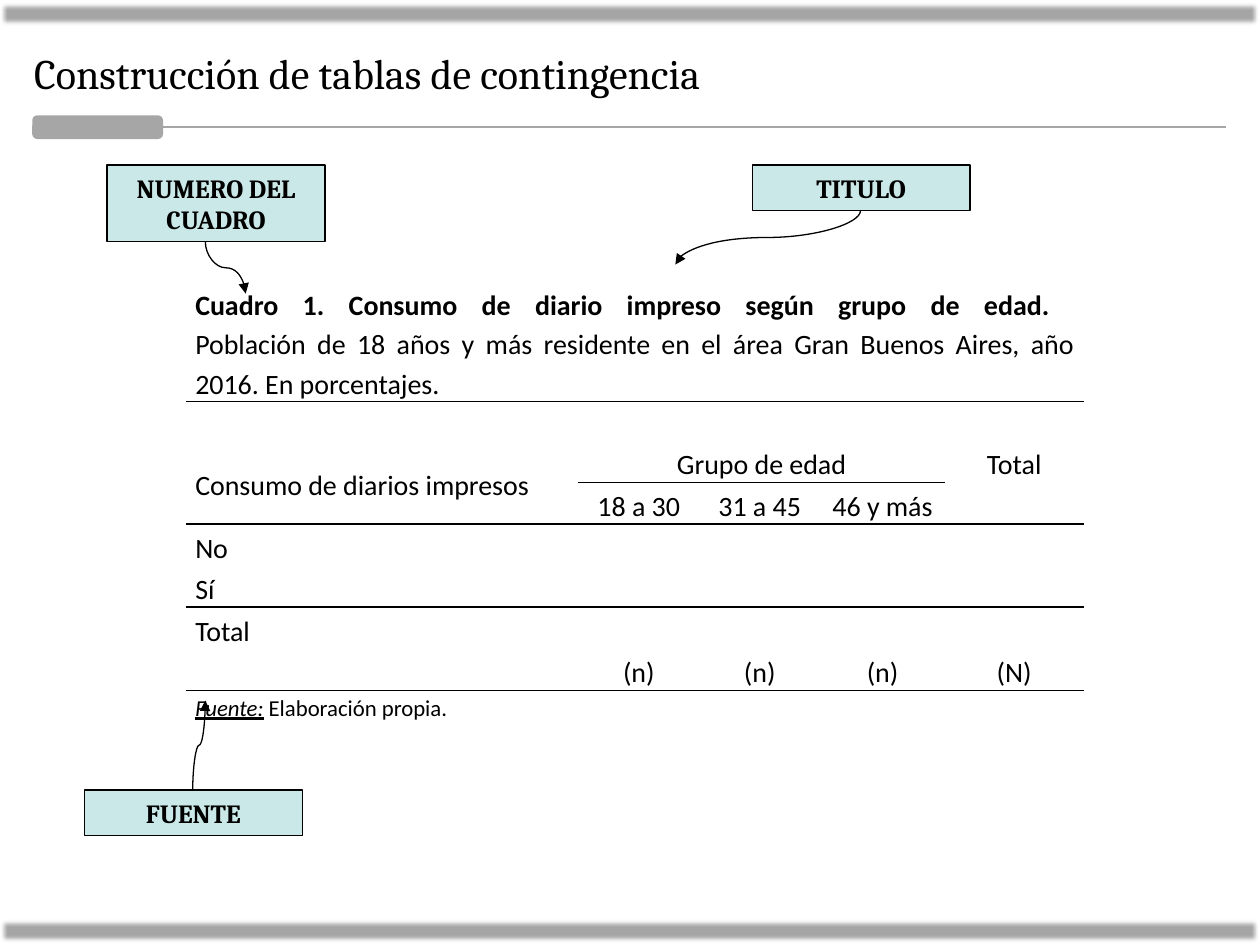
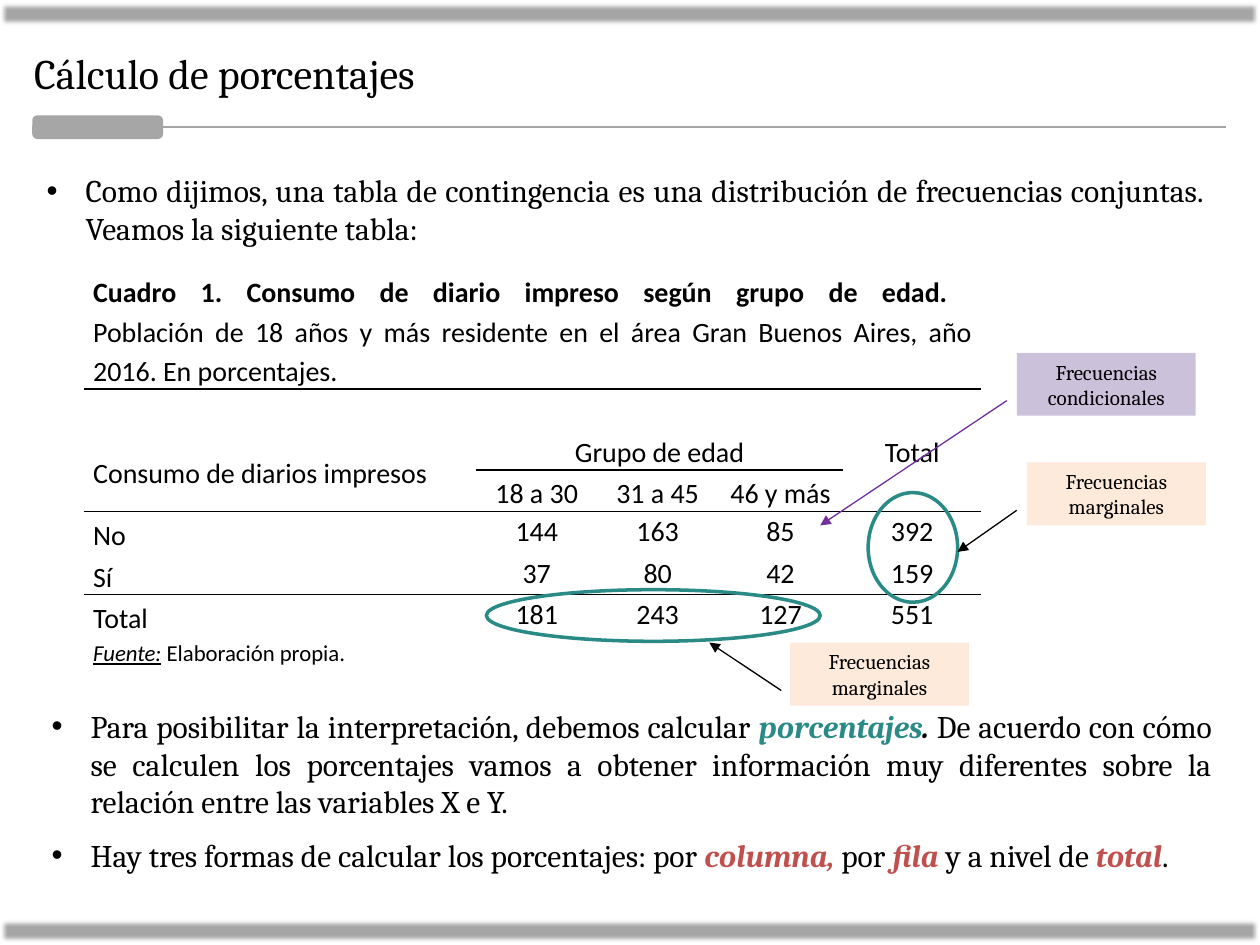
from collections import namedtuple

from lxml.etree import SubElement
from pptx import Presentation
from pptx.dml.color import RGBColor
from pptx.enum.shapes import MSO_CONNECTOR as Link, MSO_SHAPE as Shape
from pptx.enum.text import MSO_ANCHOR as Anchor, MSO_AUTO_SIZE as AutoSize, PP_ALIGN as Align
from pptx.oxml.ns import qn
from pptx.util import Inches, Pt

COLORS = {
    "ink": "000000", "band": "A6A6A6", "callout": "CAE8E7", "teal": "2A8A85",
    "red": "C0504D", "marginal": "FDEADA", "conditional": "CCC1DA", "purple": "7030A0",
}
HEAD, BODY = "Cambria", "Calibri"
COLS, ROWS = 100, 75
WIDTH, HEIGHT = Inches(10), Inches(7.5)
PLAIN_TABLE = "{2D5ABB26-0587-4C30-8999-92F81FD0307C}"

TABLE_COLS = [31.1, 9.6, 9.6, 9.9, 11]
CAPTION = [
    ("Cuadro 1. Consumo de diario impreso según grupo de edad. ", {"bold": True}),
    "\n",
    "Población de 18 años y más residente en el área Gran Buenos Aires, año 2016. En porcentajes.",
]
SOURCE = [
    ("Fuente:", {"size": Pt(13), "italic": True, "underline": True}),
    (" Elaboración propia.", {"size": Pt(13)}),
]
HEADER_ROWS = [
    [CAPTION],
    [],
    ["Consumo de diarios impresos", "Grupo de edad", "", "", "Total"],
    ["", "18 a 30", "31 a 45", "46 y más"],
]
MERGES = [(0, 0, 0, 4), (2, 0, 3, 0), (2, 1, 2, 3), (2, 4, 3, 4)]

Box = namedtuple("Box", "x y w h")


def x_at(col):
    return round(WIDTH * col / COLS)


def y_at(row):
    return round(HEIGHT * row / ROWS)


def inside(box, x, y, w=0, h=0):
    return Box(box.x + x, box.y + y, w, h)


def emu(box):
    return x_at(box.x), y_at(box.y), x_at(box.w), y_at(box.h)


def set_all(obj, values):
    for name, value in values.items():
        setattr(obj, name, value)


def rgb(name):
    return RGBColor.from_string(COLORS[name])


def write(p, content, **base):
    for item in [content] if isinstance(content, str) else content:
        text, extra = (item, {}) if isinstance(item, str) else item
        if text == "\n":
            p.add_line_break()
            continue
        fmt = {"color": "ink", **base, **extra}
        color = fmt.pop("color")
        r = p.add_run()
        r.text = text
        set_all(r.font, fmt)
        r.font.color.rgb = rgb(color)


def add_box(s, kind, box, fill=None, line=None, width=0.75):
    sp = s.shapes.add_shape(kind, *emu(box))
    sp.shadow.inherit = False
    if fill:
        sp.fill.solid()
        sp.fill.fore_color.rgb = rgb(fill)
    else:
        sp.fill.background()
    if line:
        sp.line.color.rgb = rgb(line)
        sp.line.width = Pt(width)
    else:
        sp.line.fill.background()
    return sp


def add_label(s, box, text, fill, line=None, **font):
    sp = add_box(s, Shape.RECTANGLE, box, fill, line)
    tf = sp.text_frame
    set_all(tf, {"word_wrap": True, "vertical_anchor": Anchor.MIDDLE})
    p = tf.paragraphs[0]
    p.alignment = Align.CENTER
    write(p, text, name=HEAD, **font)


def style_line(cn, color, width, arrow):
    cn.line.color.rgb = rgb(color)
    cn.line.width = Pt(width)
    if arrow:
        SubElement(cn.line._get_or_add_ln(), qn("a:tailEnd"), type="triangle")
    SubElement(cn._element.spPr, qn("a:effectLst"))


def add_line(s, start, end, color="ink", width=0.75, arrow=True):
    cn = s.shapes.add_connector(Link.STRAIGHT, x_at(start.x), y_at(start.y),
                                x_at(end.x), y_at(end.y))
    style_line(cn, color, width, arrow)


def add_vertical_curve(s, start, end):
    cx, cy = (start.x + end.x) / 2, (start.y + end.y) / 2
    dx, dy = (end.x - start.x) / 2, (end.y - start.y) / 2
    cn = s.shapes.add_connector(Link.CURVE, x_at(cx - dy), y_at(cy + dx),
                                x_at(cx + dy), y_at(cy - dx))
    cn._element.spPr.find(qn("a:xfrm")).set("rot", "5400000")
    style_line(cn, "ink", 0.75, True)


def place(sp, box):
    set_all(sp, dict(zip(("left", "top", "width", "height"), emu(box))))
    tf = sp.text_frame
    set_all(tf, {"auto_size": AutoSize.NONE, "word_wrap": True, "vertical_anchor": Anchor.TOP})
    return tf


def add_frame(s, title):
    for top in (0.1, 72.9):
        band = add_box(s, Shape.RECTANGLE, Box(0, top, COLS, 2), "band")
        effects = band._element.spPr.find(qn("a:effectLst"))
        SubElement(effects, qn("a:softEdge"), rad=str(Pt(2.5)))
    add_box(s, Shape.ROUNDED_RECTANGLE, Box(2.7, 9.3, 10.1, 1.6), "band", "band", 2)
    add_line(s, Box(12.3, 10.1, 0, 0), Box(97.3, 10.1, 0, 0), "band", 1.25, False)
    p = place(s.shapes.title, Box(1.7, 3.3, 95.6, 5)).paragraphs[0]
    p.alignment = Align.LEFT
    write(p, title, name=HEAD, size=Pt(24))


def fill_bullets(sp, box, items):
    tf = place(sp, box)
    for i, item in enumerate(items):
        p = tf.paragraphs[0] if i == 0 else tf.add_paragraph()
        pPr = p._p.get_or_add_pPr()
        pPr.set("marL", str(Inches(0.31)))
        pPr.set("indent", str(-Inches(0.31)))
        set_all(p, {"alignment": Align.JUSTIFY, "space_before": Pt(9 if i else 0)})
        write(p, item, name=HEAD, size=Pt(18))


def rule_below(cell):
    ln = cell._tc.get_or_add_tcPr().makeelement(qn("a:lnB"), {"w": str(Pt(1))})
    SubElement(SubElement(ln, qn("a:solidFill")), qn("a:srgbClr"), val=COLORS["ink"])
    cell._tc.tcPr.insert(0, ln)


def fill_cell(cell, content, align, anchor, spacing, side):
    set_all(cell, {"margin_left": Inches(side), "margin_right": Inches(side),
                   "margin_top": 0, "margin_bottom": 0, "vertical_anchor": anchor})
    cell.fill.background()
    p = cell.text_frame.paragraphs[0]
    set_all(p, {"alignment": align, "line_spacing": spacing})
    if content:
        write(p, content, name=BODY, size=Pt(16))


def add_cross_table(s, box, body, ruled):
    rows = HEADER_ROWS + body + [[SOURCE]]
    heights = [6.6, 3.3, 1.2] + [3.3] * (len(rows) - 3)
    last = len(rows) - 1
    frame = s.shapes.add_table(len(rows), len(TABLE_COLS), *emu(box))
    table = frame.table
    set_all(table, {"first_row": False, "horz_banding": False})
    table._tbl.tblPr.find(qn("a:tableStyleId")).text = PLAIN_TABLE
    for column, width in zip(table.columns, TABLE_COLS):
        column.width = x_at(width)
    for row, height in zip(table.rows, heights):
        row.height = y_at(height)
    for i, row in enumerate(rows):
        for j in range(len(TABLE_COLS)):
            content = row[j] if j < len(row) else ""
            align = Align.CENTER if j else Align.JUSTIFY if i in (0, last) else Align.LEFT
            anchor, spacing, side = Anchor.BOTTOM, 1.15, 0.07
            if (i, j) == (2, 0):
                anchor = Anchor.MIDDLE
            elif (i, j) == (2, 4) or i == last:
                anchor = Anchor.TOP
            elif isinstance(content, str) and content.isdigit():
                anchor, spacing, side = Anchor.MIDDLE, 1.0, 0.01
            fill_cell(table.cell(i, j), content, align, anchor, spacing, side)
            if i in ruled:
                rule_below(table.cell(i, j))
    for top, left, bottom, right in MERGES + [(last, 0, last, 4)]:
        table.cell(top, left).merge(table.cell(bottom, right))


def build_construction(prs):
    s = prs.slides.add_slide(prs.slide_layouts[5])
    add_frame(s, "Construcción de tablas de contingencia")
    box = Box(14.8, 22.5, sum(TABLE_COLS), 35)
    add_cross_table(s, box, [["No"], ["Sí"], ["Total"], ["", "(n)", "(n)", "(n)", "(N)"]],
                    {0, 2, 3, 5, 7})
    callouts = [
        ("NUMERO DEL CUADRO", (-6.3, -9.4), 6.1, (1.5, -3.3), (4.7, 0.8)),
        ("TITULO", (44.9, -9.4), 3.6, (53.5, -5.8), (38.8, -1.5)),
        ("FUENTE", (-8.1, 40.2), 3.6, (0.5, 40.2), (1.5, 33.1)),
    ]
    for text, corner, height, start, end in callouts:
        add_label(s, inside(box, *corner, 17.3, height), text, "callout", "ink",
                  size=Pt(15), bold=True)
        add_vertical_curve(s, inside(box, *start), inside(box, *end))


def build_percentages(prs):
    s = prs.slides.add_slide(prs.slide_layouts[3])
    add_frame(s, "Cálculo de porcentajes")
    intro, closing = list(s.placeholders)[1:3]
    teal, red = ({"color": c, "bold": True, "italic": True} for c in ("teal", "red"))
    fill_bullets(intro, Box(2.7, 13.1, 94.5, 7.1), [
        "Como dijimos, una tabla de contingencia es una distribución de frecuencias conjuntas.  "
        "Veamos la siguiente tabla:"])
    fill_bullets(closing, Box(3.1, 55.6, 94.1, 14.3), [
        ["Para posibilitar la interpretación, debemos calcular ", ("porcentajes", teal),
         (". ", {"bold": True, "italic": True}),
         "De acuerdo con cómo se calculen los porcentajes vamos a obtener información muy "
         "diferentes sobre la relación entre las variables X e Y. "],
        ["Hay tres formas de calcular los porcentajes: por ", ("columna, ", red), "por ",
         ("fila ", red), "y a nivel de ", ("total", red), ". "],
    ])
    box = Box(6.7, 21.5, sum(TABLE_COLS), 32)
    add_cross_table(s, box, [
        ["No", "144", "163", "85", "392"],
        ["Sí", "37", "80", "42", "159"],
        ["Total", "181", "243", "127", "551"],
    ], {0, 2, 3, 5})
    for ring in ((62.2, 17.6, 7.1, 8.7), (31.9, 25.3, 26.5, 4.1)):
        add_box(s, Shape.OVAL, inside(box, *ring), line="teal", width=2)
    notes = [
        ("marginales", "marginal", "ink", (74.8, 15.2), (74, 19), (69.3, 22.3)),
        ("marginales", "marginal", "ink", (56, 29.5), (55.3, 33.3), (49.6, 29.5)),
        ("condicionales", "conditional", "purple", (74, 6.5), (73.2, 10.3), (58.4, 20.2)),
    ]
    for kind, fill, color, corner, start, end in notes:
        add_label(s, inside(box, *corner, 14.2, 5), f"Frecuencias {kind}", fill, size=Pt(12))
        add_line(s, inside(box, *start), inside(box, *end), color)


def main():
    prs = Presentation()
    set_all(prs, {"slide_width": WIDTH, "slide_height": HEIGHT})
    build_construction(prs)
    build_percentages(prs)
    prs.save("out.pptx")


if __name__ == "__main__":
    main()
